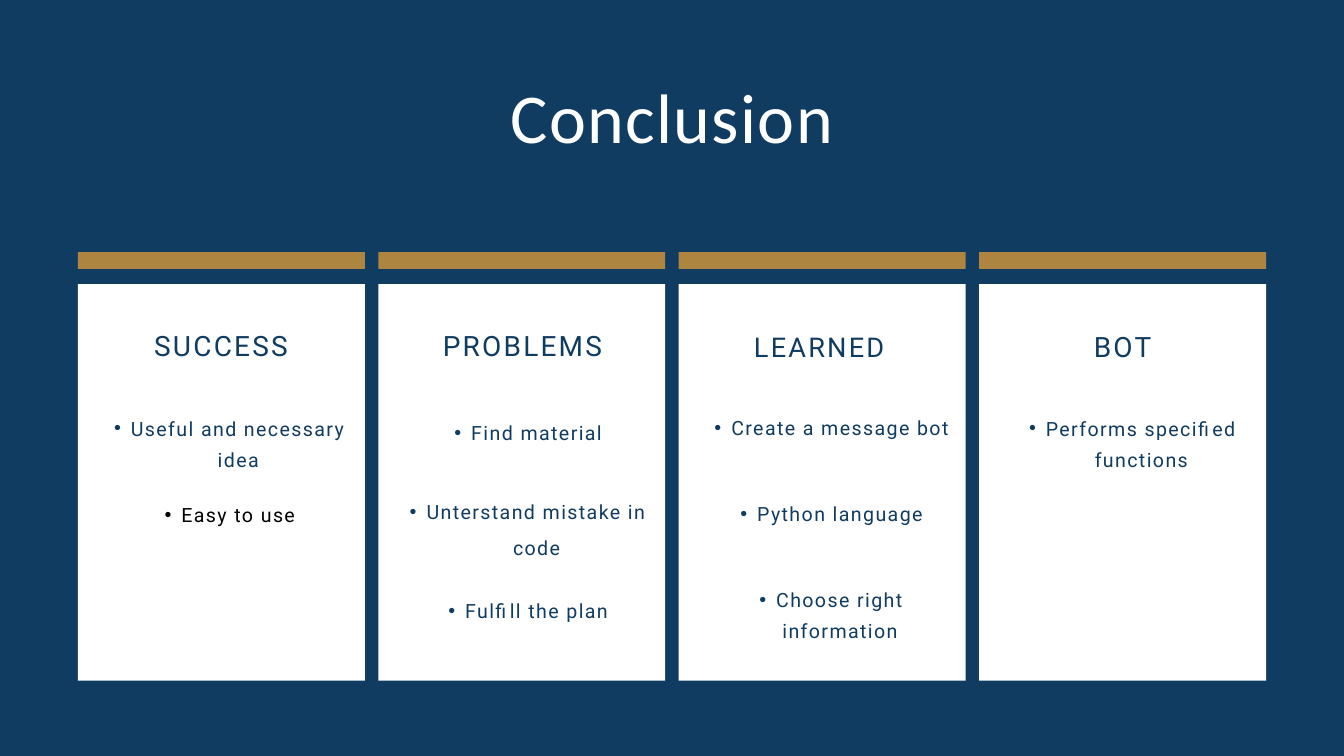
from dataclasses import dataclass

from lxml.etree import SubElement
from pptx import Presentation
from pptx.dml.color import RGBColor
from pptx.enum.shapes import MSO_SHAPE
from pptx.enum.text import MSO_AUTO_SIZE, PP_ALIGN
from pptx.oxml.ns import qn
from pptx.util import Inches, Pt

COLORS = {"navy": "113C61", "white": "FFFFFF", "gold": "AE8441", "black": "000000"}

CARD_LEFT, CARD_STEP, CARD_WIDTH = 1.16, 4.47, 4.27
BAR_TOP, BAR_HEIGHT = 3.75, 0.25
CARD_TOP, CARD_HEIGHT = 4.23, 5.9


@dataclass(frozen=True)
class Area:
    left: float
    top: float
    width: float
    height: float


@dataclass(frozen=True)
class Bullet:
    text: str
    line: float = 33.6
    before: float = 0
    color: str = "navy"


@dataclass(frozen=True)
class Card:
    heading: str
    heading_area: Area
    list_area: Area
    bullets: tuple[Bullet, ...]
    heading_size: float = 30
    heading_line: float = 49.5


CARDS = (
    Card("SUCCESS", Area(1.59, 4.7, 3.4, 0.65), Area(1.24, 6.08, 4.11, 2.98), (
        Bullet("Useful and necessary idea"),
        Bullet("Easy to use", line=29.4, before=29.4, color="black"),
    )),
    Card("PROBLEMS", Area(5.83, 4.7, 3.89, 0.65), Area(5.82, 5.88, 3.83, 3.4), (
        Bullet("Find material", line=52.5),
        Bullet("Unterstand mistake in code", line=38.6, before=46.1),
        Bullet("Fulfill the plan", before=34),
    )),
    Card("LEARNED", Area(10.29, 4.73, 3.8, 0.63), Area(10.35, 6.08, 3.8, 3.44), (
        Bullet("Create a message bot"),
        Bullet("Python language", before=58.2),
        Bullet("Choose right information", before=58.2),
    ), heading_size=29.1, heading_line=48.1),
    Card("BOT", Area(14.57, 4.72, 4.27, 0.65), Area(14.6, 6.08, 4.27, 1.38), (
        Bullet("Performs specified functions"),
    )),
)


def rgb(name: str) -> RGBColor:
    return RGBColor.from_string(COLORS[name])


def add_panel(page, area: Area, color: str) -> None:
    panel = page.shapes.add_shape(
        MSO_SHAPE.RECTANGLE, Inches(area.left), Inches(area.top),
        Inches(area.width), Inches(area.height))
    panel.shadow.inherit = False
    panel.fill.solid()
    panel.fill.fore_color.rgb = rgb(color)
    panel.line.fill.background()


def add_frame(page, area: Area):
    box = page.shapes.add_textbox(
        Inches(area.left), Inches(area.top), Inches(area.width), Inches(area.height))
    frame = box.text_frame
    frame.margin_left = frame.margin_right = 0
    frame.margin_top = frame.margin_bottom = 0
    frame.word_wrap = True
    frame.auto_size = MSO_AUTO_SIZE.SHAPE_TO_FIT_TEXT
    return frame


def write(para, text: str, *, size: float, line: float, spacing: float,
          font: str = "Roboto", color: str = "navy", before: float = 0,
          bulleted: bool = False) -> None:
    para.alignment = PP_ALIGN.CENTER
    para.line_spacing = Pt(line)
    para.space_before = Pt(before)
    span = para.add_run()
    span.text = text
    span.font.name = font
    span.font.size = Pt(size)
    span.font.color.rgb = rgb(color)
    # Letter spacing is in hundredths of a point
    span.font._element.set("spc", str(round(spacing * 100)))
    if bulleted:
        para.level = 1
        properties = para._p.get_or_add_pPr()
        properties.set("marL", str(Inches(0.5)))
        properties.set("indent", str(Inches(-0.25)))
        SubElement(properties, qn("a:buFont"), typeface="Arial")
        SubElement(properties, qn("a:buChar"), char="•")


def add_card(page, card: Card, left: float) -> None:
    # Gold bar and white panel
    add_panel(page, Area(left, BAR_TOP, CARD_WIDTH, BAR_HEIGHT), "gold")
    add_panel(page, Area(left, CARD_TOP, CARD_WIDTH, CARD_HEIGHT), "white")

    # Heading
    heading = add_frame(page, card.heading_area)
    write(heading.paragraphs[0], card.heading, size=card.heading_size,
          line=card.heading_line, spacing=card.heading_size * 0.08)

    # Bullet list
    frame = add_frame(page, card.list_area)
    for index, bullet in enumerate(card.bullets):
        para = frame.add_paragraph() if index else frame.paragraphs[0]
        write(para, bullet.text, size=21, line=bullet.line, spacing=1.5,
              color=bullet.color, before=bullet.before, bulleted=True)


def main() -> None:
    deck = Presentation()
    deck.slide_width, deck.slide_height = Inches(20), Inches(11.25)
    page = deck.slides.add_slide(deck.slide_layouts[6])
    page.background.fill.solid()
    page.background.fill.fore_color.rgb = rgb("navy")

    # Title
    title = add_frame(page, Area(2.6, 1.1, 14.8, 1.27))
    write(title.paragraphs[0], "Conclusion", size=75, line=90, spacing=1.5,
          font="Calibri", color="white")

    # Row of cards
    for index, card in enumerate(CARDS):
        add_card(page, card, CARD_LEFT + index * CARD_STEP)

    deck.save("out.pptx")


if __name__ == "__main__":
    main()
